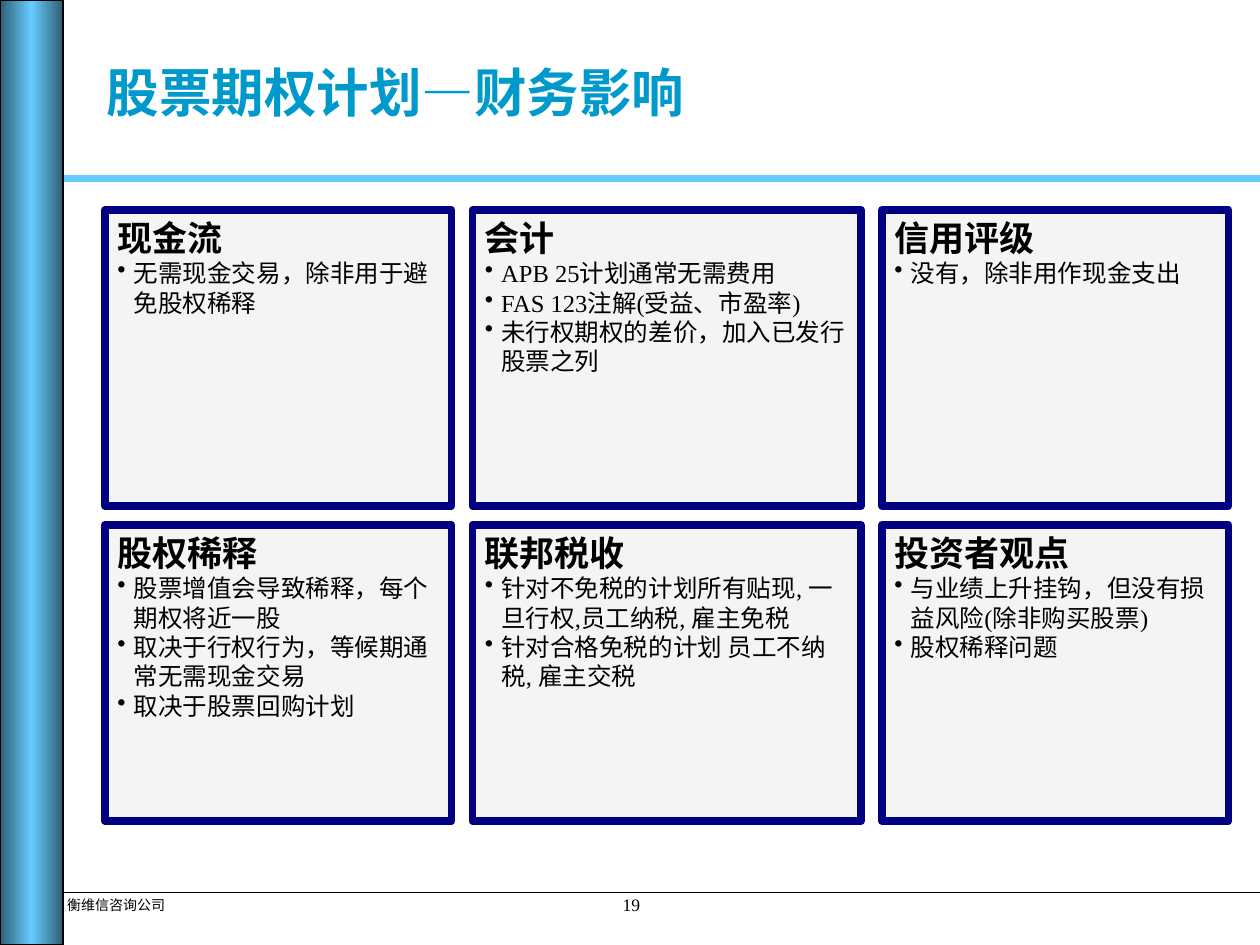
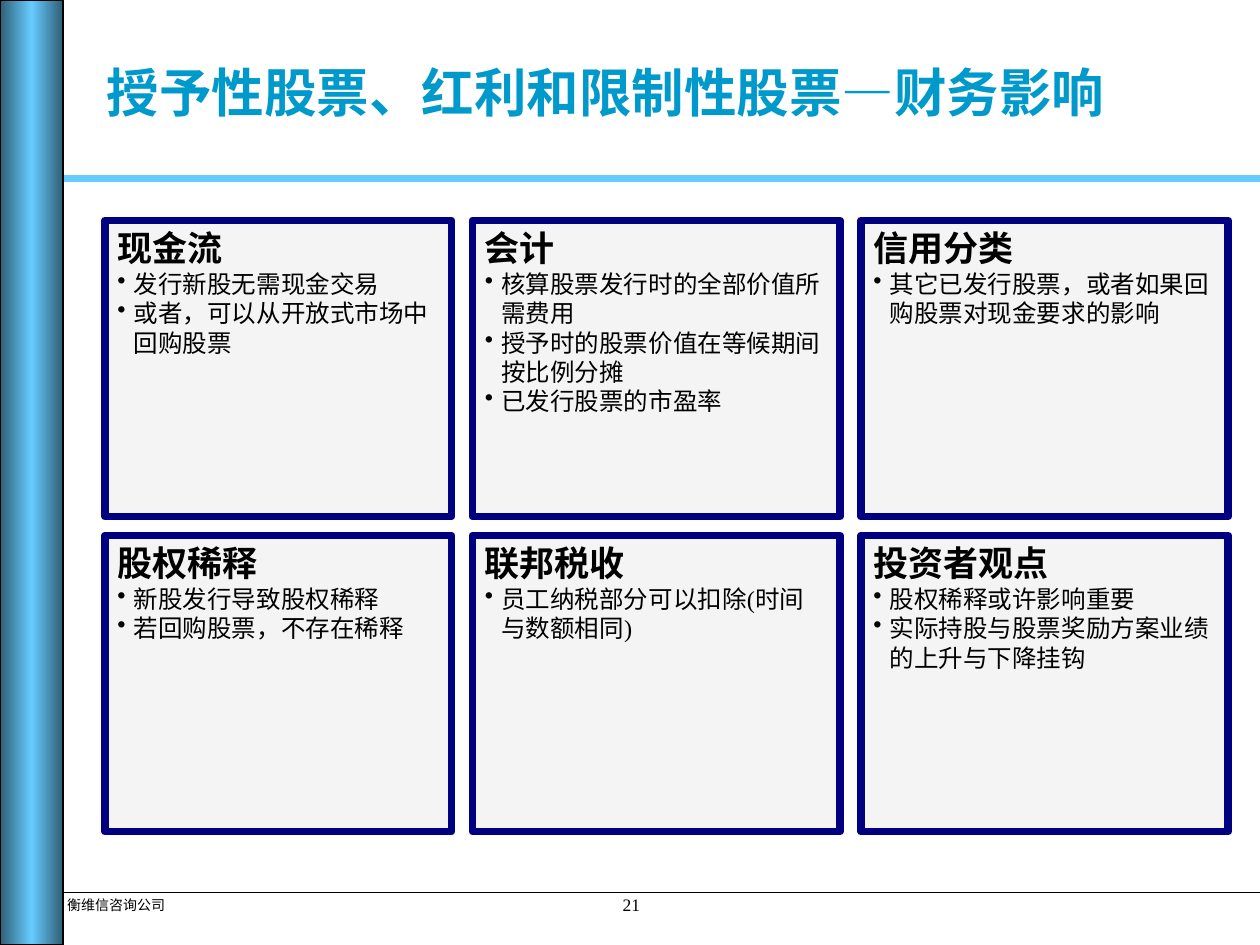
from copy import deepcopy
from lxml.etree import SubElement
from pptx import Presentation
from pptx.dml.color import RGBColor
from pptx.enum.shapes import MSO_CONNECTOR, MSO_SHAPE
from pptx.enum.text import MSO_ANCHOR, PP_ALIGN
from pptx.oxml.ns import qn
from pptx.util import Inches, Pt

COLORS = {
    "title": "0099CC",
    "band": "66CCFF",
    "band_edge": "2F5E75",
    "panel": "EAEAEA",
    "border": "000080",
    "ink": "000000",
}
COLORS = {part: RGBColor.from_string(code) for part, code in COLORS.items()}
LATIN, CHINESE = "Times New Roman", "Noto Sans CJK SC"
COMPANY = "衡维信咨询公司"

deck = Presentation()
deck.slide_width, deck.slide_height = Inches(10), Inches(7.5)
CELL = deck.slide_width / 120
GAP = 2
PANEL_LEFT = 10
PANEL_HEIGHT = 28.2
ROW_PITCH = 30
INDENT = Inches(0.13)

SLIDES = [
    {
        "page": "19",
        "title": "股票期权计划—财务影响",
        "top": 20,
        "widths": [33, 37, 33],
        "panels": [
            [
                ("现金流", ["无需现金交易，除非用于避免股权稀释"]),
                ("会计", [
                    "APB 25计划通常无需费用",
                    "FAS 123注解(受益、市盈率)",
                    "未行权期权的差价，加入已发行股票之列",
                ]),
                ("信用评级", ["没有，除非用作现金支出"]),
            ],
            [
                ("股权稀释", [
                    "股票增值会导致稀释，每个期权将近一股",
                    "取决于行权行为，等候期通常无需现金交易",
                    "取决于股票回购计划",
                ]),
                ("联邦税收", [
                    "针对不免税的计划所有贴现, 一旦行权,员工纳税, 雇主免税",
                    "针对合格免税的计划 员工不纳税, 雇主交税",
                ]),
                ("投资者观点", [
                    "与业绩上升挂钩，但没有损益风险(除非购买股票)",
                    "股权稀释问题",
                ]),
            ],
        ],
    },
    {
        "page": "21",
        "title": "授予性股票、红利和限制性股票—财务影响",
        "top": 21,
        "widths": [33, 35, 35],
        "panels": [
            [
                ("现金流", [
                    "发行新股无需现金交易",
                    "或者，可以从开放式市场中回购股票",
                ]),
                ("会计", [
                    "核算股票发行时的全部价值所需费用",
                    "授予时的股票价值在等候期间按比例分摊",
                    "已发行股票的市盈率",
                ]),
                ("信用分类", ["其它已发行股票，或者如果回购股票对现金要求的影响"]),
            ],
            [
                ("股权稀释", ["新股发行导致股权稀释", "若回购股票，不存在稀释"]),
                ("联邦税收", ["员工纳税部分可以扣除(时间与数额相同)"]),
                ("投资者观点", [
                    "股权稀释或许影响重要",
                    "实际持股与股票奖励方案业绩的上升与下降挂钩",
                ]),
            ],
        ],
    },
]


def grid(*cells):
    return [round(cell * CELL) for cell in cells]


def write(paragraph, text, size, bold=False, color="ink", align=PP_ALIGN.LEFT, leading=None):
    paragraph.text = text
    paragraph.alignment = align
    paragraph.line_spacing = Pt(leading or size * 1.2)
    font = paragraph.font
    font.size, font.bold, font.name = Pt(size), bold, LATIN
    font.color.rgb = COLORS[color]
    SubElement(paragraph._p.pPr.find(qn("a:defRPr")), qn("a:ea"), typeface=CHINESE)


for content in SLIDES:
    slide = deck.slides.add_slide(deck.slide_layouts[6])
    shapes = slide.shapes

    for level, color, weight in [(17, "band", 4), (85, "ink", 1)]:
        rule = shapes.add_connector(MSO_CONNECTOR.STRAIGHT, *grid(6, level, 120, level))
        rule.line.color.rgb = COLORS[color]
        rule.line.width = Pt(weight)
        SubElement(rule._element.spPr, qn("a:effectLst"))

    side_band = shapes.add_shape(MSO_SHAPE.RECTANGLE, *grid(0, 0, 6, 90))
    side_band.shadow.inherit = False
    side_band.line.color.rgb = COLORS["ink"]
    side_band.line.width = Pt(1)
    side_band.fill.gradient()
    side_band.fill.gradient_angle = 0
    for stop, color in zip(side_band.fill.gradient_stops, ["band_edge", "band"]):
        stop.color.rgb = COLORS[color]
    stops = side_band._element.spPr.find(".//" + qn("a:gsLst"))
    stops.append(deepcopy(stops[0]))
    for stop, position in zip(stops, [0, 50000, 100000]):
        stop.set("pos", str(position))

    for area, text, style in [
        ((9, 1.5, 109, 15), content["title"],
         dict(size=30, bold=True, color="title", leading=32)),
        ((55.5, 84.6, 9.25, 3.1), content["page"], dict(size=10, align=PP_ALIGN.CENTER)),
        ((5.2, 84.8, 15, 2.8), COMPANY, dict(size=8)),
    ]:
        caption = shapes.add_textbox(*grid(*area)).text_frame
        caption.word_wrap = True
        caption.vertical_anchor = MSO_ANCHOR.MIDDLE if text == content["title"] else MSO_ANCHOR.TOP
        write(caption.paragraphs[0], text, **style)

    for row, topics in enumerate(content["panels"]):
        left = PANEL_LEFT
        for width, (heading, points) in zip(content["widths"], topics):
            top = content["top"] + row * ROW_PITCH
            panel = shapes.add_shape(MSO_SHAPE.RECTANGLE, *grid(left, top, width, PANEL_HEIGHT))
            left += width + GAP
            panel.shadow.inherit = False
            panel.fill.solid()
            panel.fill.fore_color.rgb = COLORS["panel"]
            tint = panel._element.spPr.find(qn("a:solidFill"))[0]
            SubElement(tint, qn("a:alpha"), val="50000")
            panel.line.color.rgb = COLORS["border"]
            panel.line.width = Pt(4.5)

            body = panel.text_frame
            body.word_wrap = True
            body.vertical_anchor = MSO_ANCHOR.TOP
            write(body.paragraphs[0], heading, 20, bold=True)
            for point in points:
                item = body.add_paragraph()
                properties = item._p.get_or_add_pPr()
                properties.set("marL", str(INDENT))
                properties.set("indent", str(-INDENT))
                write(item, point, 14)
                bullet = SubElement(properties, qn("a:buChar"), char="•")
                properties.find(qn("a:defRPr")).addprevious(bullet)

deck.save("out.pptx")
